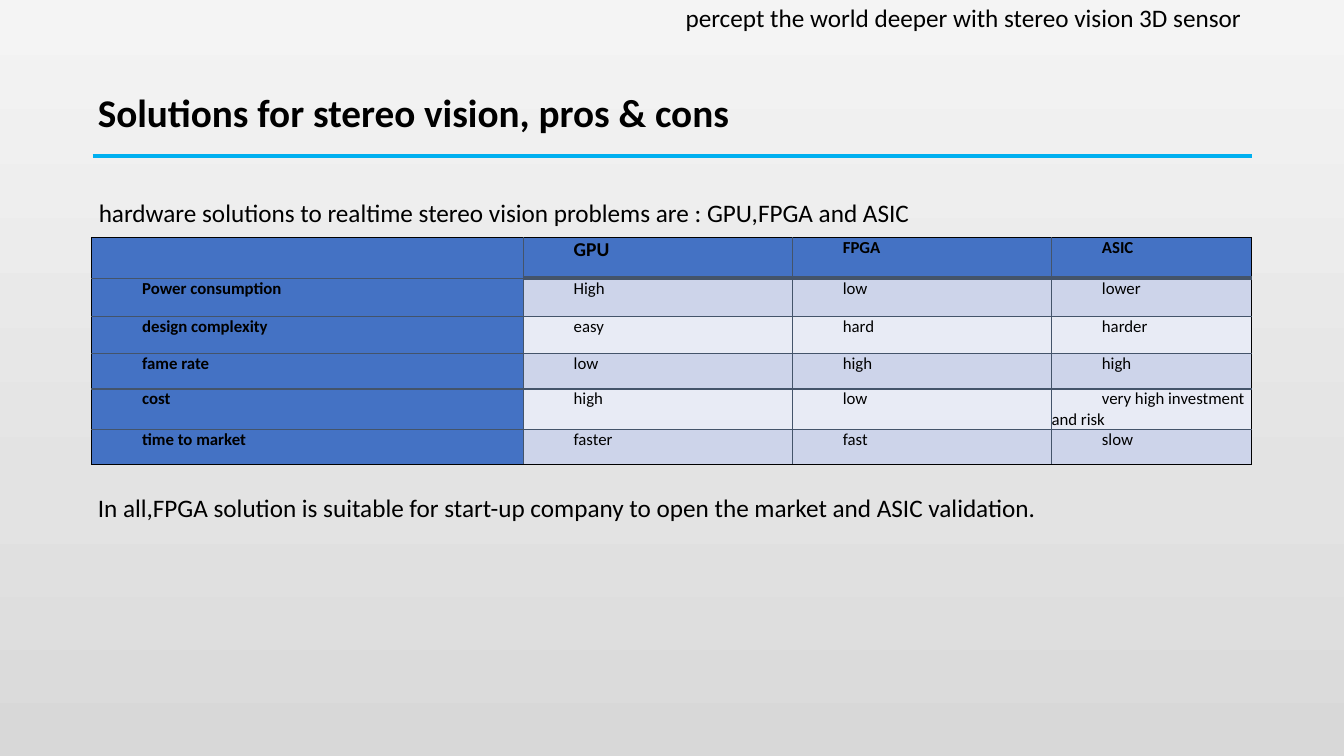
from dataclasses import dataclass

from lxml import etree
from pptx import Presentation
from pptx.dml.color import RGBColor
from pptx.enum.shapes import MSO_CONNECTOR
from pptx.enum.text import MSO_ANCHOR
from pptx.oxml.ns import qn
from pptx.util import Inches, Pt

LINE = MSO_CONNECTOR.STRAIGHT
TOP, MIDDLE = MSO_ANCHOR.TOP, MSO_ANCHOR.MIDDLE


@dataclass(frozen=True)
class Theme:
    """Colours, font and type sizes of the slide."""
    font: str = "Calibri"
    ink: str = "000000"
    rule: str = "00B0F0"
    grid: str = "44546A"
    head: str = "4472C4"
    bands: tuple = ("E8EBF5", "CDD4EA")
    back: tuple = ((0, "D8D8D8"), (35, "E3E3E3"), (100, "F4F4F4"))
    title: int = 28
    body: int = 18
    lead: int = 14
    cell: int = 12


THEME = Theme()
COLS = (4.28, 2.67, 2.57, 1.98)
HEIGHTS = (0.4, 0.38, 0.37, 0.35, 0.35, 0.35)
ROWS = (
    ("", "GPU", "FPGA", "ASIC"),
    ("Power consumption", "High", "low", "lower"),
    ("design complexity", "easy", "hard", "harder"),
    ("fame rate", "low", "high", "high"),
    ("cost", "high", "low", "very high investment and risk"),
    ("time to market", "faster", "fast", "slow"),
)


def style(font, size, bold=False):
    """Set the face, size, weight and colour of a font."""
    font.name, font.size, font.bold = THEME.font, Pt(size), bold
    font.color.rgb = RGBColor.from_string(THEME.ink)


def add_back(slide):
    """Fill the background with a gradient that runs upward."""
    fill = slide.background.fill
    fill.gradient()
    fill.gradient_angle = 90
    stops = slide.element.xpath(".//a:gsLst")[0]
    for stop in list(stops):
        stops.remove(stop)
    for pos, color in THEME.back:
        stop = etree.SubElement(stops, qn("a:gs"), pos=str(pos * 1000))
        etree.SubElement(stop, qn("a:srgbClr"), val=color)


def add_text(slide, text, left, top, width, height, size, bold=False, anchor=TOP):
    """Add a text box with one line of text."""
    box = slide.shapes.add_textbox(
        Inches(left), Inches(top), Inches(width), Inches(height))
    frame = box.text_frame
    frame.word_wrap = True
    frame.vertical_anchor = anchor
    frame.margin_left = frame.margin_right = Inches(0.05)
    frame.margin_top = frame.margin_bottom = Inches(0.05)
    frame.text = text
    para = frame.paragraphs[0]
    if bold:
        para.line_spacing = 0.9
    style(para.runs[0].font, size, bold)


def add_rule(slide, left, right, top):
    """Add the line under the title."""
    rule = slide.shapes.add_connector(
        LINE, Inches(left), Inches(top), Inches(right), Inches(top))
    rule.line.color.rgb = RGBColor.from_string(THEME.rule)
    rule.line.width = Pt(3)
    etree.SubElement(rule.element.spPr, qn("a:effectLst"))


def add_edge(cell, side, color, width):
    """Draw one border of a cell."""
    props = cell._tc.get_or_add_tcPr()
    edge = etree.SubElement(props, qn("a:ln" + side), w=str(Pt(width)))
    fill = etree.SubElement(edge, qn("a:solidFill"))
    etree.SubElement(fill, qn("a:srgbClr"), val=color)


def set_cell(cell, text, row, col):
    """Fill, border and write one cell by its place in the table."""
    last_row, last_col = len(ROWS) - 1, len(COLS) - 1
    outer = {"L": col == 0, "R": col == last_col,
             "T": row == 0, "B": row == last_row}
    thick = {"T": row == 1 and col > 0, "B": row == 0 and col > 0}
    for side, rim in outer.items():
        add_edge(cell, side, THEME.ink if rim else THEME.grid,
                 3 if thick.get(side) else 1)
    head = row == 0 or col == 0
    cell.fill.solid()
    cell.fill.fore_color.rgb = RGBColor.from_string(
        THEME.head if head else THEME.bands[row % 2])
    cell.margin_left = cell.margin_right = 0
    cell.margin_top = cell.margin_bottom = 0
    cell.text = text
    para = cell.text_frame.paragraphs[0]
    props = para._p.get_or_add_pPr()
    props.set("marL", "0")
    props.set("indent", str(Inches(0.5)))
    style(para.font, THEME.cell, head)
    for run in para.runs:
        style(run.font, THEME.lead if (row, col) == (0, 1) else THEME.cell, head)


def add_grid(slide, left, top):
    """Add the table that compares the solutions."""
    table = slide.shapes.add_table(
        len(ROWS), len(COLS), Inches(left), Inches(top),
        Inches(sum(COLS)), Inches(sum(HEIGHTS))).table
    table.first_row = table.horz_banding = False
    for col, width in zip(table.columns, COLS):
        col.width = Inches(width)
    for row, height in zip(table.rows, HEIGHTS):
        row.height = Inches(height)
    for row, texts in enumerate(ROWS):
        for col, text in enumerate(texts):
            set_cell(table.cell(row, col), text, row, col)


def main():
    """Build the slide and save it."""
    deck = Presentation()
    deck.slide_width, deck.slide_height = Inches(13.33), Inches(7.5)
    slide = deck.slides.add_slide(deck.slide_layouts[6])
    add_back(slide)
    add_text(slide, "Solutions for stereo vision, pros & cons",
             0.92, 0.72, 11.5, 0.83, THEME.title, True, MIDDLE)
    add_rule(slide, 0.92, 12.42, 1.55)
    add_grid(slide, 0.91, 2.36)
    add_text(slide, "hardware solutions to realtime stereo vision problems are : "
             "GPU,FPGA and ASIC", 0.93, 1.91, 11.5, 0.39, THEME.body)
    add_text(slide, "In all,FPGA solution is suitable for start-up company to open "
             "the market and ASIC validation.", 0.92, 4.83, 11.5, 0.39, THEME.body)
    add_text(slide, "percept the world deeper with stereo vision 3D sensor",
             6.75, -0.03, 6.2, 0.39, THEME.body)
    deck.save("out.pptx")


if __name__ == "__main__":
    main()
